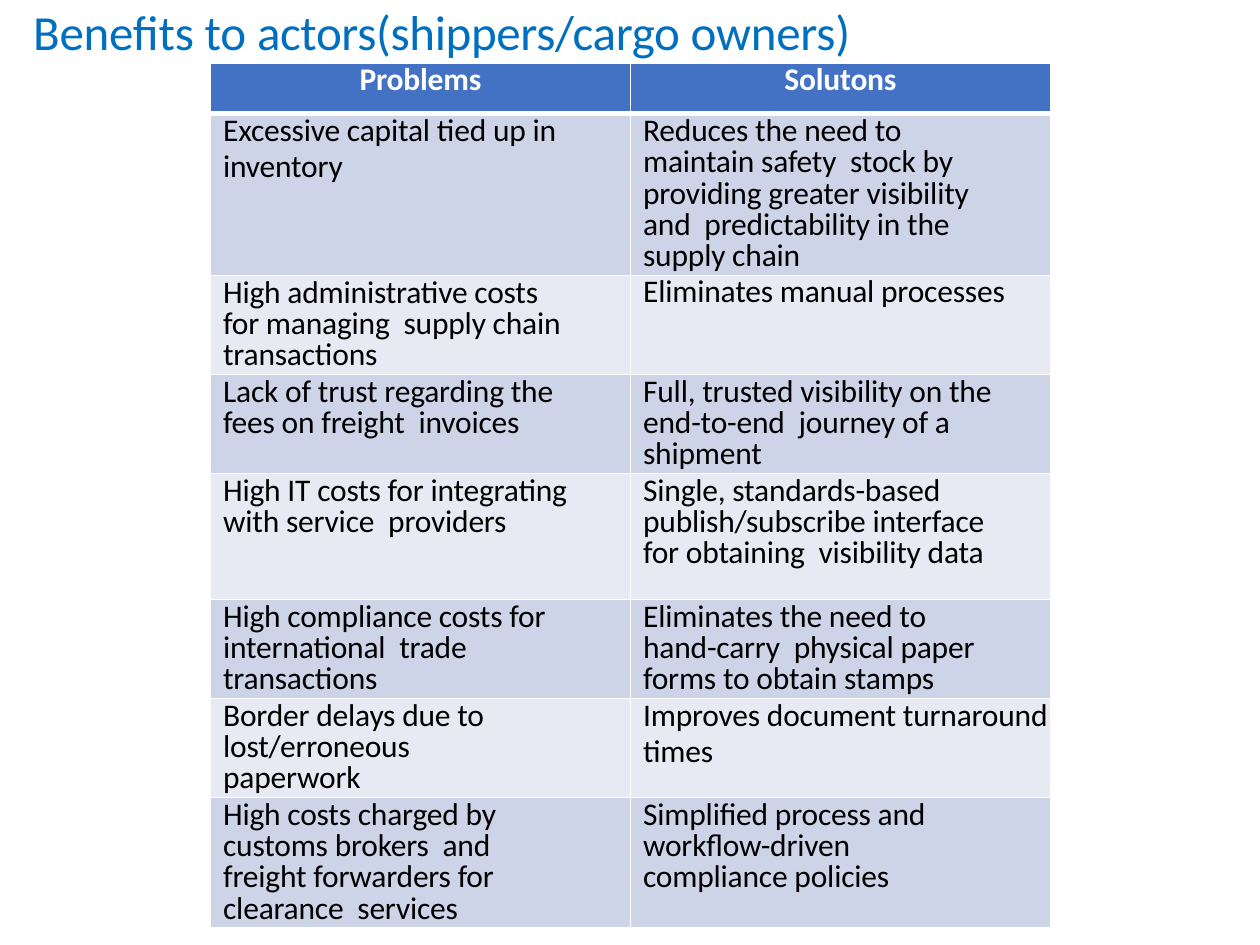
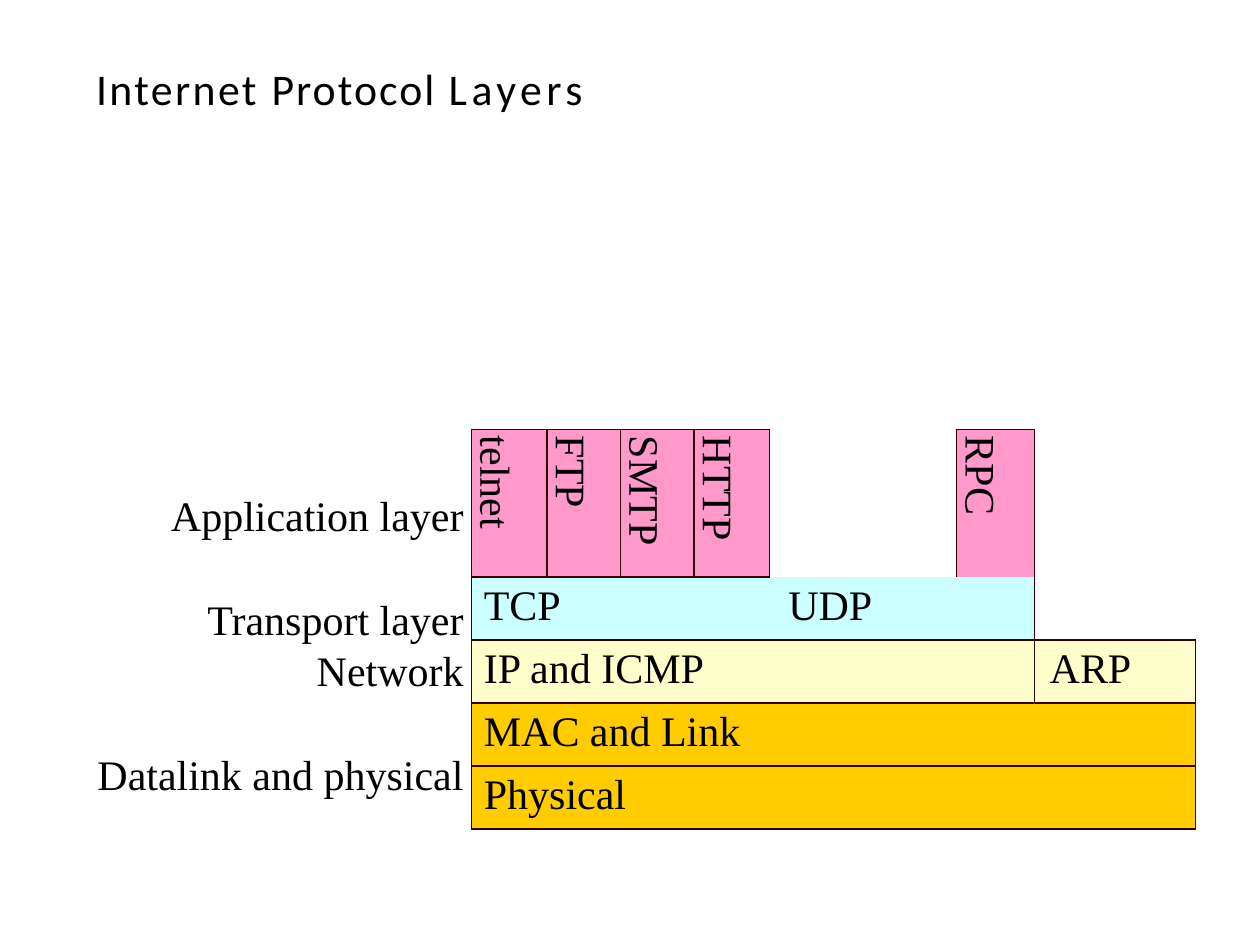
from lxml import etree
from pptx import Presentation
from pptx.dml.color import RGBColor
from pptx.enum.text import MSO_ANCHOR, MSO_AUTO_SIZE, PP_ALIGN
from pptx.oxml.ns import qn
from pptx.util import Pt

WHITE = RGBColor(0xFF, 0xFF, 0xFF)
BLACK = RGBColor(0, 0, 0)
TITLE_BLUE = RGBColor(0x00, 0x6F, 0xBF)
HEADER_BLUE = RGBColor(0x43, 0x71, 0xC3)
BAND_DARK = RGBColor(0xCE, 0xD4, 0xE8)
BAND_LIGHT = RGBColor(0xE7, 0xEA, 0xF3)
PINK = RGBColor(0xFF, 0x99, 0xCC)
CYAN = RGBColor(0xCC, 0xFF, 0xFF)
CREAM = RGBColor(0xFF, 0xFF, 0xCC)
GOLD = RGBColor(0xFF, 0xCC, 0x00)
MAROON = RGBColor(0x33, 0x00, 0x00)
SANS, SERIF = "Calibri", "Times New Roman"
NO_STYLE = "{2D5ABB26-0587-4C30-8999-92F81FD0307C}"


def write_text(frame, text, *, size, font=SANS, color=BLACK, bold=False, align=PP_ALIGN.LEFT,
               indent=0, right_indent=0, before=0, line=None, spacing=0):
    """Add a paragraph; text is a string or a list of (text, letter spacing) runs."""
    paragraph = frame.paragraphs[0]
    if paragraph.runs:
        paragraph = frame.add_paragraph()
    paragraph.alignment = align
    paragraph.space_before = Pt(before)
    if line:
        paragraph.line_spacing = Pt(line)
    properties = paragraph._p.get_or_add_pPr()
    properties.set("marL", str(Pt(indent)))
    properties.set("marR", str(Pt(right_indent)))
    properties.set("indent", "0")
    for words, gap in [(text, spacing)] if isinstance(text, str) else text:
        run = paragraph.add_run()
        run.text = words
        run.font.size, run.font.name, run.font.bold = Pt(size), font, bold
        run.font.color.rgb = color
        run._r.get_or_add_rPr().set("spc", str(round(gap * 100)))


def style_cell(cell, fill, borders, color, top=0):
    """Set fill, margins and borders; borders maps a side (L, R, T, B) to a width."""
    cell.margin_left = cell.margin_right = cell.margin_bottom = 0
    cell.margin_top = Pt(top)
    if fill is None:
        cell.fill.background()
    else:
        cell.fill.solid()
        cell.fill.fore_color.rgb = fill
    properties = cell._tc.get_or_add_tcPr()
    sides = [side for side in "LRTB" if side in borders]
    for index, side in enumerate(sides):
        border = etree.Element(qn("a:ln" + side), w=str(Pt(borders[side])))
        solid = etree.SubElement(border, qn("a:solidFill"))
        etree.SubElement(solid, qn("a:srgbClr"), val=str(color))
        properties.insert(index, border)


presentation = Presentation()
presentation.slide_width, presentation.slide_height = Pt(720), Pt(540)

# Titles and tables: place, then column widths and row heights
slide_plans = [
    dict(title=[("Benefits to ", -0.1), ("actors(shippers/cargo ", -0.2), ("owners)", -0.1)],
         title_box=(18, 0, 542, 35.3), size=28, color=TITLE_BLUE, corner=(120.3, 36.2),
         widths=[240, 240], heights=[28.8, 72, 50.4, 50.4, 72, 50.4, 50.4, 72]),
    dict(title=[("Internet ", 1.4), ("Protocol ", 1.2), ("Layers", 2.6)],
         title_box=(54, 34.6, 431.3, 45.4), size=25, color=BLACK, corner=(269.3, 245.5),
         widths=[43.2, 42, 42, 43.2, 107, 44.6, 92], heights=[84.2, 36, 36, 36, 36]),
]
slides, tables = [], []
for plan in slide_plans:
    slide = presentation.slides.add_slide(presentation.slide_layouts[5])
    title = slide.shapes.title
    title.left, title.top, title.width, title.height = map(Pt, plan["title_box"])
    frame = title.text_frame
    frame.margin_left = frame.margin_right = frame.margin_bottom = 0
    frame.margin_top = Pt(0.9)
    frame.word_wrap = True
    frame.vertical_anchor = MSO_ANCHOR.TOP
    frame.auto_size = MSO_AUTO_SIZE.SHAPE_TO_FIT_TEXT
    write_text(frame, plan["title"], size=plan["size"], color=plan["color"], indent=0.9, before=1)

    widths, heights = plan["widths"], plan["heights"]
    graphic = slide.shapes.add_table(len(heights), len(widths), *map(Pt, plan["corner"]),
                                     Pt(sum(widths)), Pt(sum(heights)))
    table = graphic.table
    table.first_row = table.horz_banding = False
    table._tbl.tblPr.find(qn("a:tableStyleId")).text = NO_STYLE
    for column, width in zip(table.columns, widths):
        column.width = Pt(width)
    for row, height in zip(table.rows, heights):
        row.height = Pt(height)
    slides.append(slide)
    tables.append(table)

# Slide 1: problems and solutions
benefits = [
    ("Problems", "Solutons"),
    ("Excessive capital tied up in inventory",
     "Reduces the need to maintain safety  stock by providing greater visibility "
     "and  predictability in the supply chain"),
    ("High administrative costs for managing  supply chain transactions",
     "Eliminates manual processes"),
    ("Lack of trust regarding the fees on freight  invoices",
     "Full, trusted visibility on the end-to-end  journey of a shipment"),
    ("High IT costs for integrating with service  providers",
     "Single, standards-based  publish/subscribe interface for obtaining  visibility data"),
    ("High compliance costs for international  trade transactions",
     "Eliminates the need to hand-carry  physical paper forms to obtain stamps"),
    ("Border delays due to lost/erroneous  paperwork",
     "Improves document turnaround times"),
    ("High costs charged by customs brokers  and freight forwarders for clearance  services",
     "Simplified process and workflow-driven  compliance policies"),
]
loose_cells = {(1, 0), (2, 1), (6, 1)}
right_indents = {(6, 0): 48, (7, 0): 36}
for row, texts in enumerate(benefits):
    borders = dict(L=1, R=1, T=3 if row == 1 else 1, B=3 if row == 0 else 1)
    for column, text in enumerate(texts):
        cell = tables[0].cell(row, column)
        if row == 0:
            fill, top = HEADER_BLUE, 0
            layout = dict(color=WHITE, bold=True, align=PP_ALIGN.CENTER, line=20.6)
        else:
            fill = BAND_DARK if row % 2 else BAND_LIGHT
            if (row, column) in loose_cells:
                top, layout = 0, dict(indent=7.2, line=20.6)
            else:
                top = 2.9
                layout = dict(indent=7.2, line=17.9, before=2.6,
                              right_indent=right_indents.get((row, column), 30))
        style_cell(cell, fill, borders, WHITE, top)
        write_text(cell.text_frame, text, size=18, spacing=-0.1, **layout)

# Slide 2: layer names beside the stack
label_box = slides[1].shapes.add_textbox(Pt(53.3), Pt(278.6), Pt(211.7), Pt(175))
frame = label_box.text_frame
frame.word_wrap = True
frame.margin_left = frame.margin_right = frame.margin_bottom = 0
frame.margin_top = Pt(0.9)
for name, before in [("Application layer", 1), ("Transport layer", 31),
                     ("Network", 0), ("Datalink and physical", 31)]:
    write_text(frame, name, size=24, font=SERIF, align=PP_ALIGN.RIGHT, before=before)

# Slide 2: application protocols, set vertically
stack = tables[1]
all_sides = dict(L=1, R=1, T=1, B=1)
open_bottom = dict(L=1, R=1, T=1)
for column, name, top, before, borders in [
        (0, "telnet", 5.8, 6.1, all_sides), (1, "FTP", 5.8, 6.1, all_sides),
        (2, "SMTP", 5.8, 6.1, all_sides), (3, "HTTP", 7.2, 7.1, all_sides),
        (5, "RPC", 8.6, 9, open_bottom)]:
    cell = stack.cell(0, column)
    style_cell(cell, PINK, borders, MAROON, top)
    cell._tc.get_or_add_tcPr().set("vert", "vert")
    write_text(cell.text_frame, name, size=24, font=SERIF, indent=3.6, before=before)

# Slide 2: empty cells in the top row
stack.cell(0, 6).merge(stack.cell(1, 6))
style_cell(stack.cell(0, 4), None, dict(L=1, R=1), MAROON)
style_cell(stack.cell(0, 6), None, dict(L=1, B=1), MAROON)

# Slide 2: lower layers as (row, first column, last column, name, fill, indent, borders)
for row, first, last, name, fill, indent, borders in [
        (1, 0, 3, "TCP", CYAN, 7.2, dict(L=1, T=1, B=1.5)),
        (1, 4, 5, "UDP", CYAN, 10.8, dict(R=1, B=1.5)),
        (2, 0, 5, "IP and ICMP", CREAM, 7.2, dict(L=1, R=1, T=1.5, B=1.5)),
        (2, 6, 6, "ARP", CREAM, 8.6, dict(L=1, R=1, T=1, B=1.5)),
        (3, 0, 6, "MAC and Link", GOLD, 7.2, dict(L=1, R=1, T=1.5, B=1.5)),
        (4, 0, 6, "Physical", GOLD, 7.2, dict(L=1, R=1, T=1.5, B=1))]:
    cell = stack.cell(row, first)
    if last > first:
        cell.merge(stack.cell(row, last))
    style_cell(cell, fill, borders, MAROON, 3.6)
    write_text(cell.text_frame, name, size=24, font=SERIF, indent=indent, before=3.7)

presentation.save("out.pptx")
